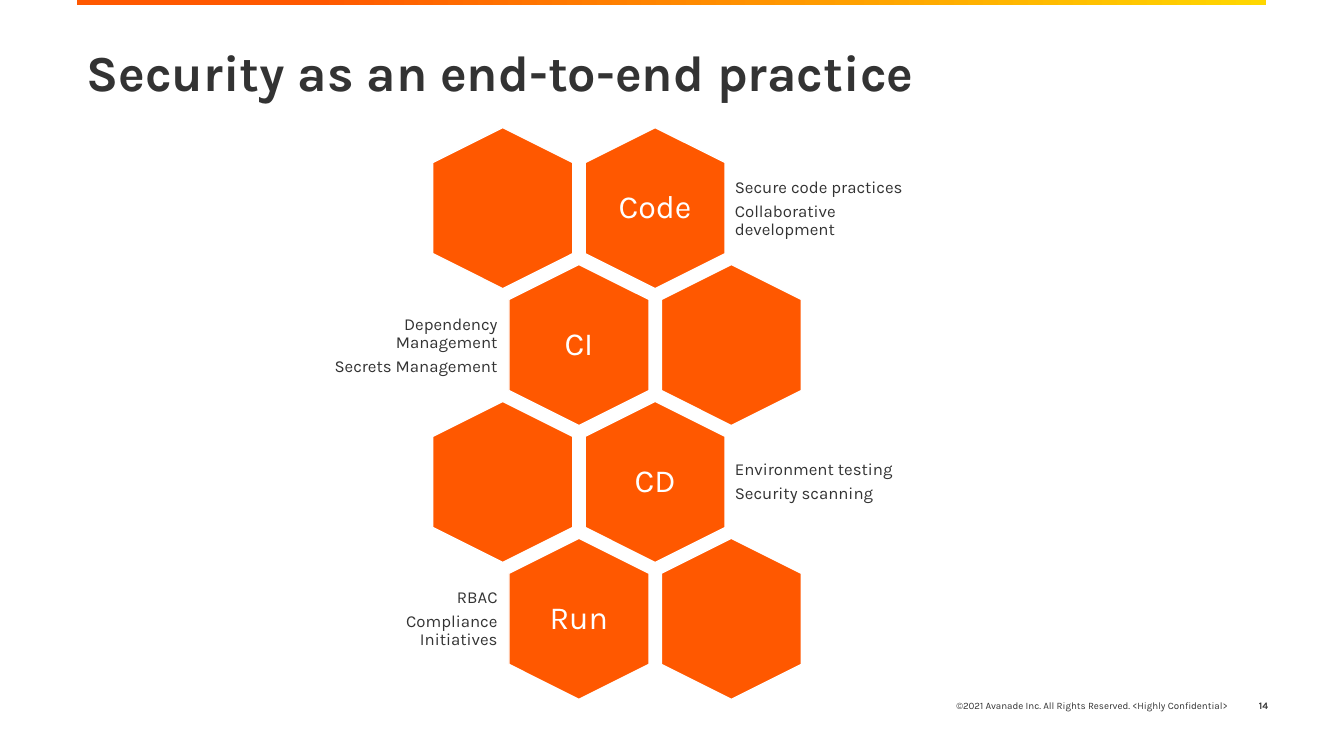
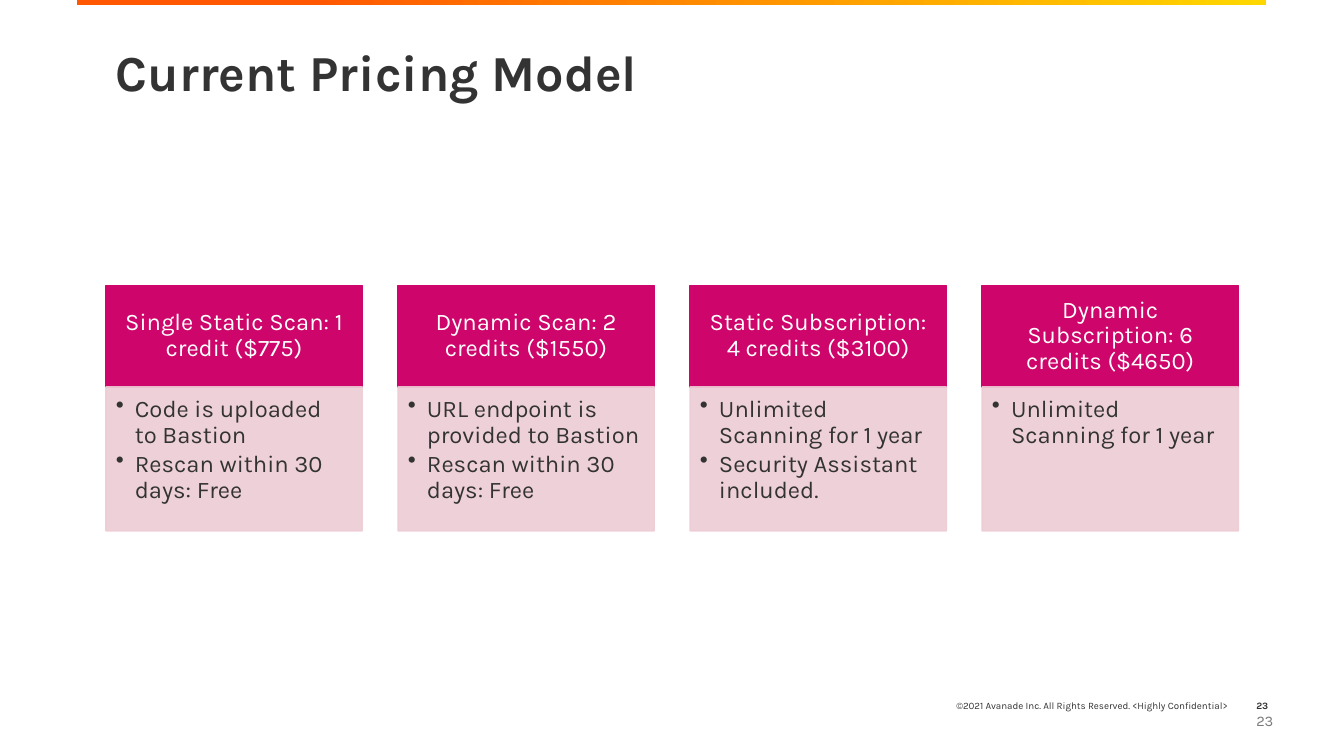
from dataclasses import dataclass
from typing import NamedTuple

from lxml.etree import SubElement
from pptx import Presentation
from pptx.dml.color import RGBColor
from pptx.enum.shapes import MSO_SHAPE
from pptx.enum.text import MSO_ANCHOR, PP_ALIGN
from pptx.oxml.ns import qn
from pptx.shapes.autoshape import Shape
from pptx.slide import Slide
from pptx.util import Cm, Pt


@dataclass(frozen=True)
class Theme:
    font: str = "Karla"
    ink: str = "333333"
    grey: str = "7A7A7A"
    white: str = "FFFFFF"
    orange: str = "FF5800"
    yellow: str = "FFD700"
    magenta: str = "CE056A"
    blush: str = "EDCCD4"
    title: float = 36
    stage: float = 23
    card: float = 17
    note: float = 12
    page: float = 10.5
    footer: float = 7


THEME = Theme()


class Box(NamedTuple):
    """Left, top, width and height in centimetres."""
    left: float
    top: float
    width: float
    height: float


@dataclass(frozen=True)
class TextStyle:
    size: float
    color: str = THEME.ink
    bold: bool = False
    align: PP_ALIGN = PP_ALIGN.LEFT
    anchor: MSO_ANCHOR = MSO_ANCHOR.MIDDLE
    insets: tuple[float, float, float, float] = (0.25, 0.13, 0.25, 0.13)
    line_spacing: float = 1.0
    after: float = 0  # share of the type size
    hanging: float = 0  # bullet indent in centimetres


@dataclass(frozen=True)
class Stage:
    name: str
    notes: tuple[str, ...]


@dataclass(frozen=True)
class Plan:
    heading: str
    features: tuple[str, ...]


# Text styles
TITLE = TextStyle(THEME.title, bold=True, anchor=MSO_ANCHOR.TOP, line_spacing=0.9)
FOOTER = TextStyle(THEME.footer, align=PP_ALIGN.RIGHT)
FOOTER_NUMBER = TextStyle(THEME.footer, bold=True, align=PP_ALIGN.RIGHT)
PAGE_NUMBER = TextStyle(THEME.page, THEME.grey, align=PP_ALIGN.CENTER, after=0.57)
STAGE_NAME = TextStyle(THEME.stage, THEME.white, align=PP_ALIGN.CENTER,
                       insets=(0.25,) * 4, line_spacing=0.9, after=0.35)
NOTE_RIGHT = TextStyle(THEME.note, insets=(0.13,) * 4, line_spacing=0.9, after=0.35)
NOTE_LEFT = TextStyle(THEME.note, align=PP_ALIGN.RIGHT, insets=(0.13,) * 4,
                      line_spacing=0.9, after=0.35)
PLAN_HEADING = TextStyle(THEME.card, THEME.white, align=PP_ALIGN.CENTER,
                         insets=(0.33, 0.2, 0.33, 0.2), line_spacing=0.9, after=0.35)
PLAN_FEATURES = TextStyle(THEME.card, anchor=MSO_ANCHOR.TOP,
                          insets=(0.25, 0.25, 0.33, 0.38), line_spacing=0.9,
                          after=0.15, hanging=0.48)

# Content
COPYRIGHT = "©2021 Avanade Inc. All Rights Reserved. <Highly Confidential>"
STAGES = (
    Stage("Code", ("Secure code practices", "Collaborative development")),
    Stage("CI", ("Dependency Management", "Secrets Management")),
    Stage("CD", ("Environment testing", "Security scanning")),
    Stage("Run", ("RBAC", "Compliance Initiatives")),
)
RESCAN = "Rescan within 30 days: Free"
UNLIMITED = "Unlimited Scanning for 1 year"
PLANS = (
    Plan("Single Static Scan: 1 credit ($775)", ("Code is uploaded to Bastion", RESCAN)),
    Plan("Dynamic Scan: 2 credits ($1550)",
         ("URL endpoint is provided to Bastion", RESCAN)),
    Plan("Static Subscription: 4 credits ($3100)",
         (UNLIMITED, "Security Assistant included.")),
    Plan("Dynamic Subscription: 6 credits ($4650)", (UNLIMITED,)),
)


# Drawing helpers
def write(shape: Shape, lines: tuple[str, ...], style: TextStyle) -> None:
    frame = shape.text_frame
    frame.word_wrap = True
    frame.vertical_anchor = style.anchor
    (frame.margin_left, frame.margin_top,
     frame.margin_right, frame.margin_bottom) = map(Cm, style.insets)
    frame.text = "\n".join(lines)
    for paragraph in frame.paragraphs:
        if style.hanging:
            properties = paragraph._p.get_or_add_pPr()
            properties.set("marL", str(Cm(style.hanging)))
            properties.set("indent", str(-Cm(style.hanging)))
            SubElement(properties, qn("a:buChar")).set("char", "•")
        paragraph.alignment = style.align
        paragraph.line_spacing = style.line_spacing
        paragraph.space_after = Pt(style.size * style.after)
        for run in paragraph.runs:
            run.font.name = THEME.font
            run.font.size = Pt(style.size)
            run.font.bold = style.bold
            run.font.color.rgb = RGBColor.from_string(style.color)


def add_text(slide: Slide, box: Box, lines: tuple[str, ...], style: TextStyle) -> None:
    write(slide.shapes.add_textbox(*map(Cm, box)), lines, style)


def add_panel(slide: Slide, kind: MSO_SHAPE, box: Box, fill: str, line: str,
              opacity: int = 100) -> Shape:
    panel = slide.shapes.add_shape(kind, *map(Cm, box))
    panel.shadow.inherit = False
    panel.fill.solid()
    panel.fill.fore_color.rgb = RGBColor.from_string(fill)
    panel.line.color.rgb = RGBColor.from_string(line)
    panel.line.width = Pt(1)
    if opacity < 100:
        for color in panel._element.spPr.iter(qn("a:srgbClr")):
            SubElement(color, qn("a:alpha")).set("val", str(opacity * 1000))
    return panel


def add_base(deck: Presentation, title: str, title_left: float, number: int) -> Slide:
    """Add a slide with the gradient band, title and footer."""
    slide = deck.slides.add_slide(deck.slide_layouts[6])
    band = slide.shapes.add_shape(MSO_SHAPE.RECTANGLE, *map(Cm, Box(1.93, 0, 29.97, 0.14)))
    band.shadow.inherit = False
    band.line.fill.background()
    band.fill.gradient()
    band.fill.gradient_angle = 0
    for stop, color, position in zip(band.fill.gradient_stops,
                                     (THEME.orange, THEME.yellow), (0.2, 1)):
        stop.color.rgb = RGBColor.from_string(color)
        stop.position = position
    add_text(slide, Box(19.76, 17.27, 11.43, 1.02), (COPYRIGHT,), FOOTER)
    add_text(slide, Box(30.99, 17.27, 1.22, 1.02), (str(number),), FOOTER_NUMBER)
    add_text(slide, Box(title_left, 1.09, 28.5, 2.77), (title,), TITLE)
    return slide


# Slides
def add_security_slide(deck: Presentation) -> None:
    slide = add_base(deck, "Security as an end-to-end practice", 1.93, 14)
    length, breadth = 4.06, 3.53
    column_pitch, row_pitch = 3.84, 3.45
    for row, stage in enumerate(STAGES):
        shifted = row % 2
        top = 3.48 + row * row_pitch
        lefts = [10.64 + (column + shifted / 2) * column_pitch for column in range(2)]
        for left in lefts:
            hexagon = add_panel(slide, MSO_SHAPE.HEXAGON, Box(left, top, length, breadth),
                                THEME.orange, THEME.white)
            hexagon.rotation = 90
        named_left = lefts[1 - shifted]
        add_text(slide, Box(named_left + 0.81, top + 0.38, 2.44, 2.79),
                 (stage.name,), STAGE_NAME)
        note_left, note_width, note_style = (
            (8.28, 4.39, NOTE_LEFT) if shifted else (18.39, 4.55, NOTE_RIGHT))
        add_text(slide, Box(note_left, top + 0.56, note_width, 2.44),
                 stage.notes, note_style)


def add_pricing_slide(deck: Presentation) -> None:
    number = 23
    slide = add_base(deck, "Current Pricing Model", 2.67, number)
    add_text(slide, Box(31.19, 17.65, 1.37, 1.02), (str(number),), PAGE_NUMBER)
    top, width, gap = 7.19, 6.46, 0.9
    heading_height, features_height = 2.56, 3.63
    for index, plan in enumerate(PLANS):
        left = 2.67 + index * (width + gap)
        heading = add_panel(slide, MSO_SHAPE.RECTANGLE,
                            Box(left, top, width, heading_height),
                            THEME.magenta, THEME.magenta)
        write(heading, (plan.heading,), PLAN_HEADING)
        features = add_panel(slide, MSO_SHAPE.RECTANGLE,
                             Box(left, top + heading_height, width, features_height),
                             THEME.blush, THEME.blush, opacity=90)
        write(features, plan.features, PLAN_FEATURES)


def main() -> None:
    deck = Presentation()
    deck.slide_width, deck.slide_height = Cm(33.87), Cm(19.05)
    add_security_slide(deck)
    add_pricing_slide(deck)
    deck.save("out.pptx")


if __name__ == "__main__":
    main()
